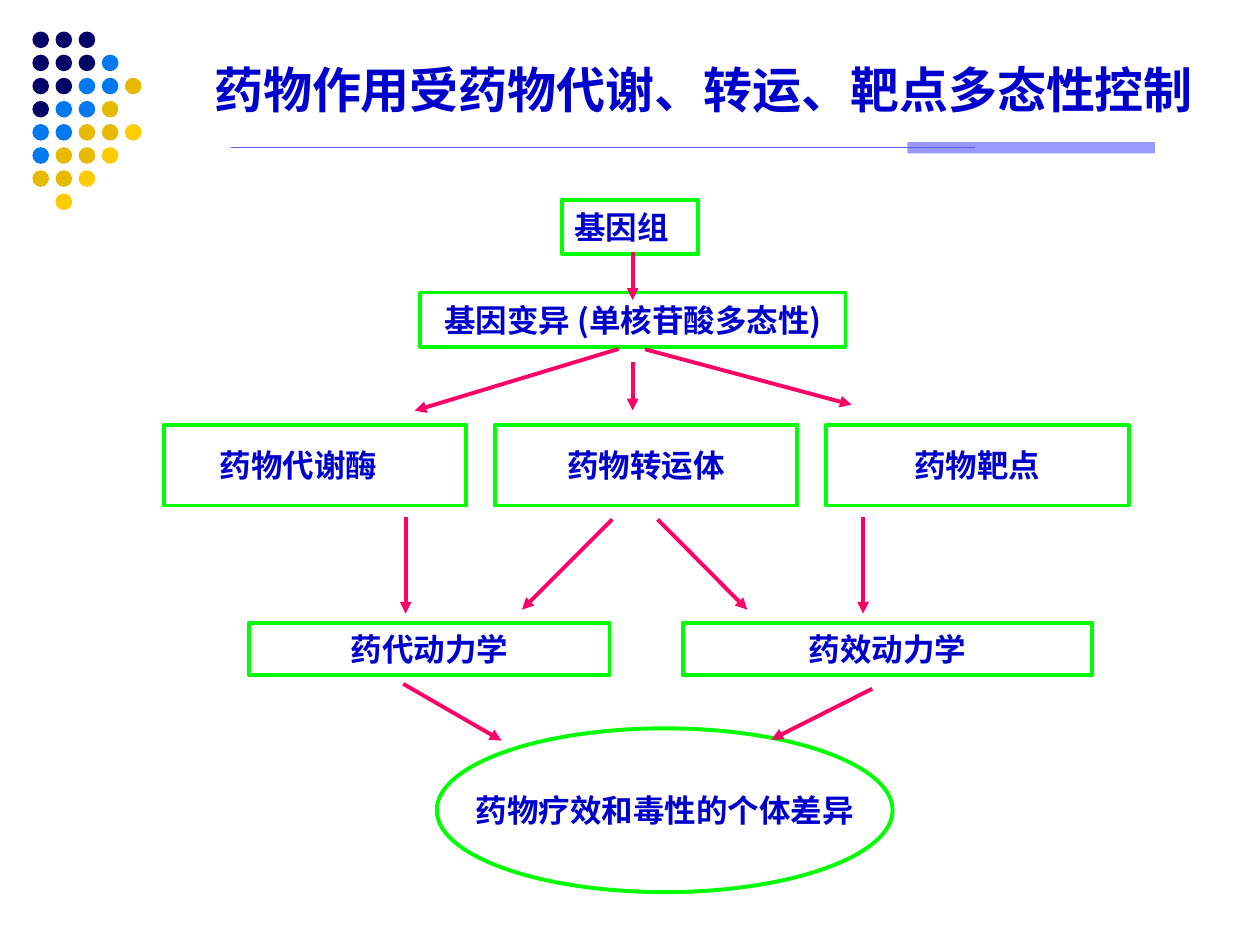
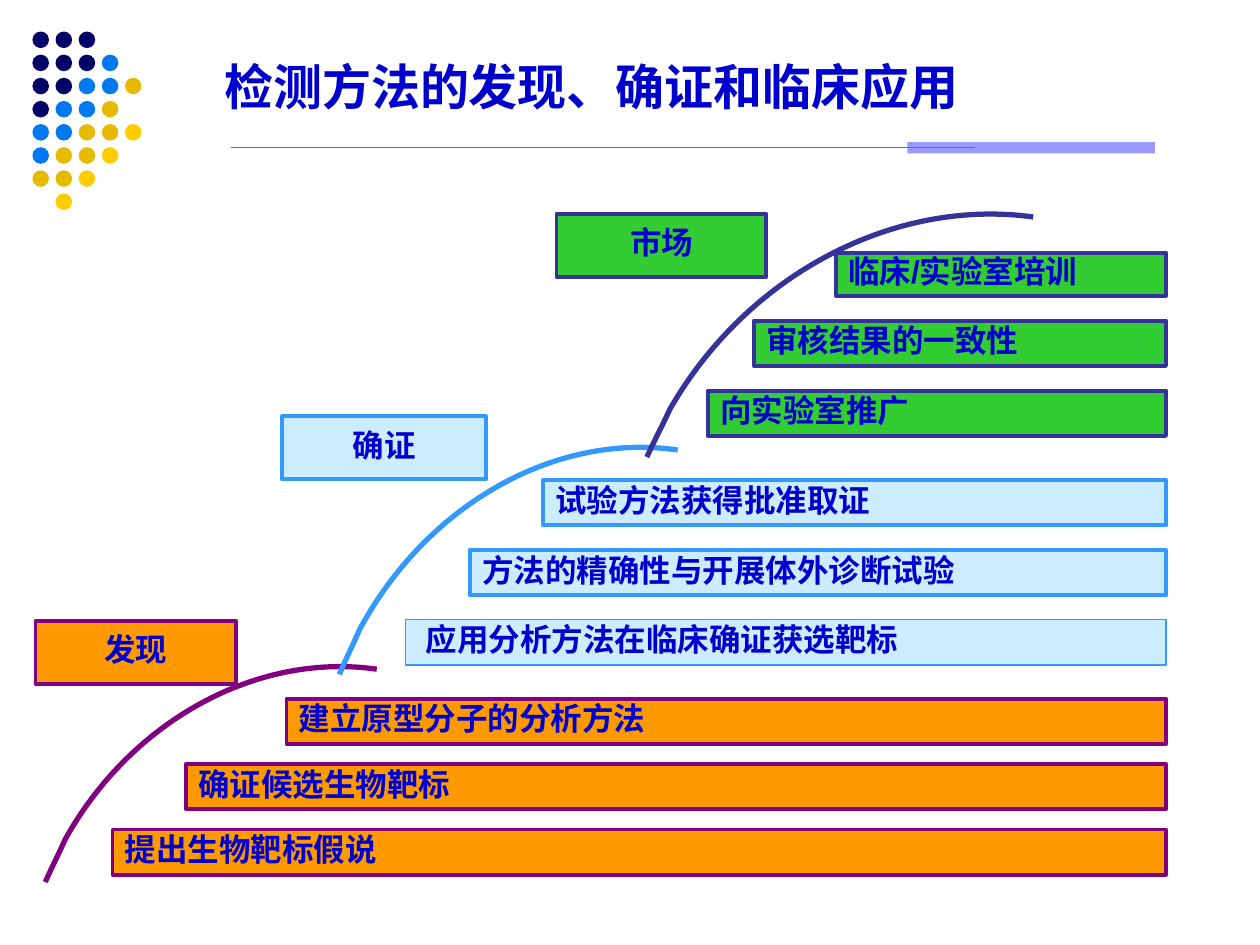
from dataclasses import dataclass

from lxml import etree
from pptx import Presentation
from pptx.dml.color import RGBColor
from pptx.enum.shapes import MSO_CONNECTOR, MSO_SHAPE
from pptx.enum.text import MSO_ANCHOR, PP_ALIGN
from pptx.oxml.ns import qn
from pptx.util import Pt

RECTANGLE, OVAL = MSO_SHAPE.RECTANGLE, MSO_SHAPE.OVAL
STRAIGHT = MSO_CONNECTOR.STRAIGHT
TOP, MIDDLE = MSO_ANCHOR.TOP, MSO_ANCHOR.MIDDLE
LEFT, CENTER = PP_ALIGN.LEFT, PP_ALIGN.CENTER


@dataclass(frozen=True)
class Theme:
    text: RGBColor = RGBColor(0x00, 0x00, 0xCC)
    navy: RGBColor = RGBColor(0x00, 0x00, 0x66)
    azure: RGBColor = RGBColor(0x00, 0x78, 0xF0)
    gold: RGBColor = RGBColor(0xE6, 0xBA, 0x00)
    yellow: RGBColor = RGBColor(0xFF, 0xCC, 0x00)
    band: RGBColor = RGBColor(0x99, 0x99, 0xFF)
    rule: RGBColor = RGBColor(0x5D, 0x5D, 0xFF)
    outline: RGBColor = RGBColor(0x00, 0xFF, 0x00)
    arrow: RGBColor = RGBColor(0xFF, 0x00, 0x66)
    orange: RGBColor = RGBColor(0xFF, 0x99, 0x00)
    purple: RGBColor = RGBColor(0x80, 0x00, 0x80)
    pale: RGBColor = RGBColor(0xCC, 0xEC, 0xFF)
    blue: RGBColor = RGBColor(0x33, 0x99, 0xFF)
    green: RGBColor = RGBColor(0x33, 0xCC, 0x33)
    indigo: RGBColor = RGBColor(0x33, 0x33, 0x99)
    latin: str = "Arial"
    chinese: str = "Noto Sans CJK SC"
    title_size: float = 28
    body_size: float = 18
    stroke: float = 2.25
    arc_stroke: float = 3


theme = Theme()


def add_box(page, kind, place, text="", fill=None, line=None, stroke=theme.stroke,
            align=CENTER, inset=7.2, font=theme.latin, spacing=1.0):
    """Add a preset shape at place (left, top, width, height), with optional text."""
    box = page.shapes.add_shape(kind, *map(Pt, place))
    box.shadow.inherit = False
    if fill is None:
        box.fill.background()
    else:
        box.fill.solid()
        box.fill.fore_color.rgb = fill
    if line is None:
        box.line.fill.background()
    else:
        box.line.color.rgb = line
        box.line.width = Pt(stroke)
    if text:
        frame = box.text_frame
        frame.word_wrap = align == LEFT
        frame.vertical_anchor = MIDDLE
        frame.margin_left = Pt(inset)
        para = frame.paragraphs[0]
        para.alignment = align
        para.line_spacing = spacing
        span = para.add_run()
        span.text = text
        span.font.name = font
        span.font.size = Pt(theme.body_size)
        span.font.bold = True
        span.font.color.rgb = theme.text
    return box


def add_line(page, ends, color, stroke, arrow=False):
    """Add a straight line along ends (x1, y1, x2, y2)."""
    line = page.shapes.add_connector(STRAIGHT, *map(Pt, ends))
    line.line.color.rgb = color
    line.line.width = Pt(stroke)
    if arrow:
        etree.SubElement(line.line._get_or_add_ln(), qn("a:tailEnd"), type="triangle")
    etree.SubElement(line.element.spPr, qn("a:effectLst"))
    return line


deck = Presentation()
deck.slide_width, deck.slide_height = Pt(720), Pt(540)
title_only = deck.slide_layouts[5]
for holder in list(title_only.placeholders):
    if holder.placeholder_format.idx != 0:
        holder.element.getparent().remove(holder.element)

# Titles
titles = [
    ("药物作用受药物代谢、转运、靶点多态性控制", (115.2, 30.2, 586.8, 45.4)),
    ("检测方法的发现、确证和临床应用", (121, 28.8, 562.3, 64)),
]
for text, place in titles:
    title = deck.slides.add_slide(title_only).shapes.title
    title.left, title.top, title.width, title.height = map(Pt, place)
    frame = title.text_frame
    frame.word_wrap = True
    frame.vertical_anchor = TOP
    para = frame.paragraphs[0]
    para.alignment = LEFT
    span = para.add_run()
    span.text = text
    span.font.name = theme.latin
    span.font.size = Pt(theme.title_size)
    span.font.bold = True
    span.font.color.rgb = theme.text
control_page, method_page = deck.slides

# Dots, band and rule: drawn once, then moved to the shared layout
dot_colors = {"N": theme.navy, "A": theme.azure, "G": theme.gold, "Y": theme.yellow}
dot_rows = ["NNN", "NNNA", "NNAAG", "NAAG", "AAGGY", "AGGY", "GGY", " Y"]
dot_step, dot_size = 13.22, 9.5
decoration = []
for row, letters in enumerate(dot_rows):
    for column, letter in enumerate(letters):
        if letter in dot_colors:
            place = (18.5 + column * dot_step, 18 + row * dot_step, dot_size, dot_size)
            decoration.append(add_box(control_page, OVAL, place, fill=dot_colors[letter]))
decoration.append(add_box(control_page, RECTANGLE, (518.6, 81.2, 141.4, 6.5), fill=theme.band))
decoration.append(add_line(control_page, (131.8, 84.2, 557.3, 84.2), theme.rule, 0.75))
for shape in decoration:
    title_only.element.cSld.spTree.append(shape.element)

# Slide 1: from genome to individual differences
factor_left, factor_step = 93.5, 189.2
factors = [("药物代谢酶", LEFT, 32), ("药物转运体", CENTER, 7.2), ("药物靶点", CENTER, 7.2)]
nodes = [
    (RECTANGLE, (321, 114.2, 78, 31), "基因组", LEFT, 7.2),
    (RECTANGLE, (240, 167.2, 243.2, 31), "基因变异 (单核苷酸多态性)", CENTER, 7.2),
    (RECTANGLE, (142.3, 355.8, 206, 30.2), "药代动力学", CENTER, 7.2),
    (RECTANGLE, (390.1, 355.8, 234, 30.2), "药效动力学", CENTER, 7.2),
    (OVAL, (249.6, 416.2, 260.5, 93.6), "药物疗效和毒性的个体差异", CENTER, 7.2),
]
for column, (text, align, inset) in enumerate(factors):
    place = (factor_left + column * factor_step, 242.9, 173, 46)
    nodes.append((RECTANGLE, place, text, align, inset))
for kind, place, text, align, inset in nodes:
    add_box(control_page, kind, place, text, line=theme.outline, align=align,
            inset=inset, font=theme.chinese)

arrows = [
    (361.5, 144, 361.5, 171.4),
    (368.6, 199.6, 486.7, 231.3),
    (353.5, 199.4, 236.9, 234.7),
    (361.5, 207, 361.5, 234.5),
    (231.8, 295.4, 231.8, 350.6),
    (493.2, 295.4, 493.2, 350.6),
    (349.9, 296.8, 298.3, 348.4),
    (375.8, 296.8, 427, 348.4),
    (230.4, 390.8, 286.6, 423.2),
    (498.4, 393.6, 440.8, 422.6),
]
for ends in arrows:
    add_line(control_page, ends, theme.arrow, theme.stroke, arrow=True)

# Slide 2: three stages, each with bars, a rising arc and a label
bar_right = 666.3
# Each stage: label and place, fill, line, arc start and end, bars
# Each bar: text, left, top, height, stroke, inset
stages = [
    ("发现", (20.3, 354.8, 114.6, 36), theme.orange, theme.purple, (25.9, 504, 215.3, 382.4), [
        ("提出生物靶标假说", 64.3, 474, 25.9, 2.25, 7.2),
        ("确证候选生物靶标", 106.2, 436.5, 25.9, 2.25, 7.2),
        ("建立原型分子的分析方法", 163.7, 399.3, 25.9, 2.25, 7.2),
    ]),
    ("确证", (161.1, 238, 116.8, 36), theme.pale, theme.blue, (193.9, 385.4, 387.3, 257.2), [
        ("应用分析方法在临床确证获选靶标", 231.8, 354, 25.9, 1, 11.6),
        ("方法的精确性与开展体外诊断试验", 268.4, 314.3, 25.9, 2.25, 7.2),
        ("试验方法获得批准取证", 310.2, 274.3, 25.9, 2.25, 7.2),
    ]),
    ("市场", (318, 122.2, 120, 36), theme.green, theme.indigo, (369.6, 261.2, 590.4, 124), [
        ("向实验室推广", 404.5, 223.2, 25.9, 2.25, 7.2),
        ("审核结果的一致性", 430.8, 183.2, 25.9, 2.25, 7.2),
        ("临床/实验室培训", 477.6, 144.4, 24.6, 2.25, 7.2),
    ]),
]
# Control points of an arc's two Bezier curves, as shares of its run and rise
arc_controls = [(0.02, 0.07), (0.04, 0.13), (0.06, 0.2), (0.26, 0.76), (0.64, 1.08), (1, 1)]

for label, label_place, fill, line, (x1, y1, x2, y2), bars in stages:
    for text, left, top, height, stroke, inset in bars:
        add_box(method_page, RECTANGLE, (left, top, bar_right - left, height), text, fill,
                line, stroke, LEFT, inset, spacing=0.85)
    builder = method_page.shapes.build_freeform(Pt(x1), Pt(y1))
    builder.add_line_segments([(Pt(x1 + run * (x2 - x1)), Pt(y1 + rise * (y2 - y1)))
                               for run, rise in arc_controls], close=False)
    arc = builder.convert_to_shape()
    # Every three line segments become one Bezier curve
    segments = list(arc.element.iter(qn("a:lnTo")))
    for first in range(0, len(segments), 3):
        curve = etree.Element(qn("a:cubicBezTo"))
        segments[first].addprevious(curve)
        for segment in segments[first:first + 3]:
            curve.append(segment[0])
            segment.getparent().remove(segment)
    arc.shadow.inherit = False
    arc.fill.background()
    arc.line.color.rgb = line
    arc.line.width = Pt(theme.arc_stroke)
    add_box(method_page, RECTANGLE, label_place, label, fill, line, spacing=0.85)

# Chinese characters use one font throughout
for page in deck.slides:
    for latin in list(page.element.iter(qn("a:latin"))):
        east_asian = etree.Element(qn("a:ea"), typeface=theme.chinese)
        latin.addnext(east_asian)

deck.save("out.pptx")
